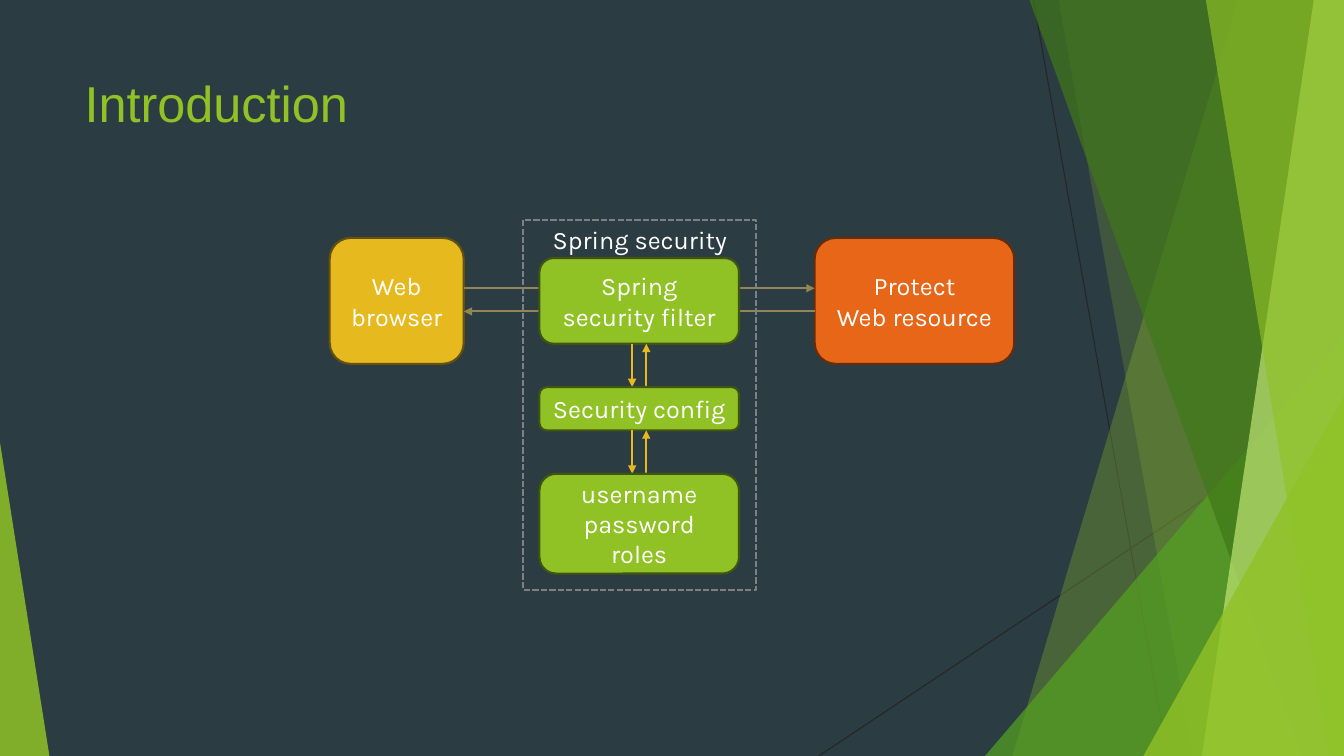
from lxml import etree
from pptx import Presentation
from pptx.dml.color import RGBColor
from pptx.enum.dml import MSO_LINE
from pptx.enum.shapes import MSO_CONNECTOR, MSO_SHAPE
from pptx.enum.text import MSO_ANCHOR, PP_ALIGN
from pptx.oxml.ns import qn
from pptx.util import Inches, Pt

WIDTH, HEIGHT = 13.33, 7.5
GREEN, GOLD, ORANGE = "90C226", "E6B91E", "E76618"
DARK_GREEN, DARK_GOLD, DARK_ORANGE = "3F5511", "65510D", "652D0B"
BACKGROUND, KHAKI, GREY, WHITE = "2C3C43", "918655", "808080", "FFFFFF"


def color(hex_text):
    return RGBColor.from_string(hex_text)


def fill_facet(shape, hex_text, opacity):
    """Fill a borderless shape, with opacity given in percent."""
    shape.shadow.inherit = False
    shape.line.fill.background()
    shape.fill.solid()
    shape.fill.fore_color.rgb = color(hex_text)
    solid_color = shape.fill._xPr.find(qn("a:solidFill"))[0]
    etree.SubElement(solid_color, qn("a:alpha"), val=str(opacity * 1000))


def add_line(page, start, end, hex_text, weight, arrow=False):
    line = page.shapes.add_connector(
        MSO_CONNECTOR.STRAIGHT, *(Inches(value) for value in (*start, *end)))
    line.line.color.rgb = color(hex_text)
    line.line.width = Pt(weight)
    if arrow:
        etree.SubElement(line.line._get_or_add_ln(), qn("a:tailEnd"), type="triangle")
    etree.SubElement(line._element.spPr, qn("a:effectLst"))


def add_band(page, box, top_x, bottom_x, hex_text, opacity):
    """Draw a slanted facet that reaches the right edge of the box."""
    left, top, width, height = box
    right, bottom = left + width, top + height
    corners = [(left + top_x, top), (right, top), (right, bottom),
               (left + bottom_x, bottom)]
    points = [(Inches(x), Inches(y)) for x, y in corners]
    builder = page.shapes.build_freeform(*points[0])
    builder.add_line_segments(points[1:], close=True)
    fill_facet(builder.convert_to_shape(), hex_text, opacity)


def add_corner(page, box, apex, hex_text, opacity):
    """Draw a right triangle whose apex is at the left (0) or right (1)."""
    triangle = page.shapes.add_shape(
        MSO_SHAPE.ISOSCELES_TRIANGLE, *(Inches(value) for value in box))
    triangle.adjustments[0] = apex
    fill_facet(triangle, hex_text, opacity)


def add_facets(page, box):
    left, top, width, height = box
    right, bottom = left + width, top + height

    def right_corner(corner_width, corner_height, hex_text, opacity):
        corner = (right - corner_width, bottom - corner_height,
                  corner_width, corner_height)
        add_corner(page, corner, 1, hex_text, opacity)

    add_line(page, (left + 10.25, top), (left + 11.58, bottom), "262626", 0.75)
    add_line(page, (right, top + 4.03), (left + 8.12, bottom), "262626", 0.75)
    add_band(page, box, 12.28, 10.04, GREEN, 30)
    add_band(page, box, 10.5, 11.83, GREEN, 20)
    right_corner(3.56, 4.17, "54A021", 72)
    add_band(page, box, 10.21, 12.91, "3F7819", 70)
    add_band(page, box, 13.03, 11.92, "C0E474", 70)
    add_band(page, box, 11.96, 13.18, GREEN, 65)
    right_corner(1.99, 3.57, GREEN, 80)
    add_corner(page, (left, bottom - 3.11, 0.49, 3.11), 0, GREEN, 85)


def add_title(page, box, text):
    title = page.shapes.title
    for name, value in zip(("left", "top", "width", "height"), box):
        setattr(title, name, Inches(value))
    frame = title.text_frame
    frame.text = text
    frame.vertical_anchor = MSO_ANCHOR.TOP
    para = frame.paragraphs[0]
    para.alignment = PP_ALIGN.LEFT
    style_font(para.runs[0].font, name="Arial", size=Pt(36), hex_text=GREEN)


def style_font(font, hex_text, **formats):
    for name, value in formats.items():
        setattr(font, name, value)
    font.color.rgb = color(hex_text)


def add_node(page, box, text, fill, outline, kind=MSO_SHAPE.ROUNDED_RECTANGLE,
             anchor=MSO_ANCHOR.MIDDLE):
    node = page.shapes.add_shape(kind, *(Inches(value) for value in box))
    node.shadow.inherit = False
    if fill:
        node.fill.solid()
        node.fill.fore_color.rgb = color(fill)
    else:
        node.fill.background()
    node.line.color.rgb = color(outline)
    node.line.width = Pt(1.5)
    frame = node.text_frame
    frame.word_wrap = True
    frame.vertical_anchor = anchor
    frame.text = text
    for para in frame.paragraphs:
        para.alignment = PP_ALIGN.CENTER
        for span in para.runs:
            style_font(span.font, name="Karla", size=Pt(18), hex_text=WHITE)
    return node


def add_security_diagram(page, box):
    left, top, width, height = box
    browser_width, node_width, outer_top, outer_height = 1.33, 1.98, 0.18, 1.25
    browser_right = left + browser_width
    resource_left = left + width - node_width
    stack_left = left + 2.08

    add_node(page, (left, top + outer_top, browser_width, outer_height),
             "Web browser", GOLD, DARK_GOLD)
    add_node(page, (resource_left, top + outer_top, node_width, outer_height),
             "Protect\nWeb resource", ORANGE, DARK_ORANGE)

    request_y, response_y = top + 0.68, top + 0.91
    add_line(page, (browser_right, request_y), (resource_left, request_y),
             KHAKI, 1.5, arrow=True)
    add_line(page, (resource_left, response_y), (browser_right, response_y),
             KHAKI, 1.5, arrow=True)

    gap, node_top = 0.43, top + 0.38
    stack = [("Spring security filter", 0.85), ("Security config", 0.43),
             ("username\npassword\nroles", 0.99)]
    for index, (text, node_height) in enumerate(stack):
        if index:
            down_x, up_x = stack_left + 0.92, stack_left + 1.06
            add_line(page, (down_x, node_top - gap), (down_x, node_top),
                     GOLD, 1.5, arrow=True)
            add_line(page, (up_x, node_top), (up_x, node_top - gap),
                     GOLD, 1.5, arrow=True)
        add_node(page, (stack_left, node_top, node_width, node_height),
                 text, GREEN, DARK_GREEN)
        node_top += node_height + gap

    border = add_node(page, (left + 1.92, top, 2.31, height), "Spring security",
                      None, GREY, MSO_SHAPE.RECTANGLE, MSO_ANCHOR.TOP)
    border.line.dash_style = MSO_LINE.SQUARE_DOT


def main():
    deck = Presentation()
    deck.slide_width, deck.slide_height = Inches(WIDTH), Inches(HEIGHT)
    page = deck.slides.add_slide(deck.slide_layouts.get_by_name("Title Only"))
    page.background.fill.solid()
    page.background.fill.fore_color.rgb = color(BACKGROUND)
    add_facets(page, (0, 0, WIDTH, HEIGHT))
    add_title(page, (0.74, 0.67, 9.4, 1.44), "Introduction")
    add_security_diagram(page, (3.27, 2.18, 6.79, 3.67))
    deck.save("out.pptx")


if __name__ == "__main__":
    main()
